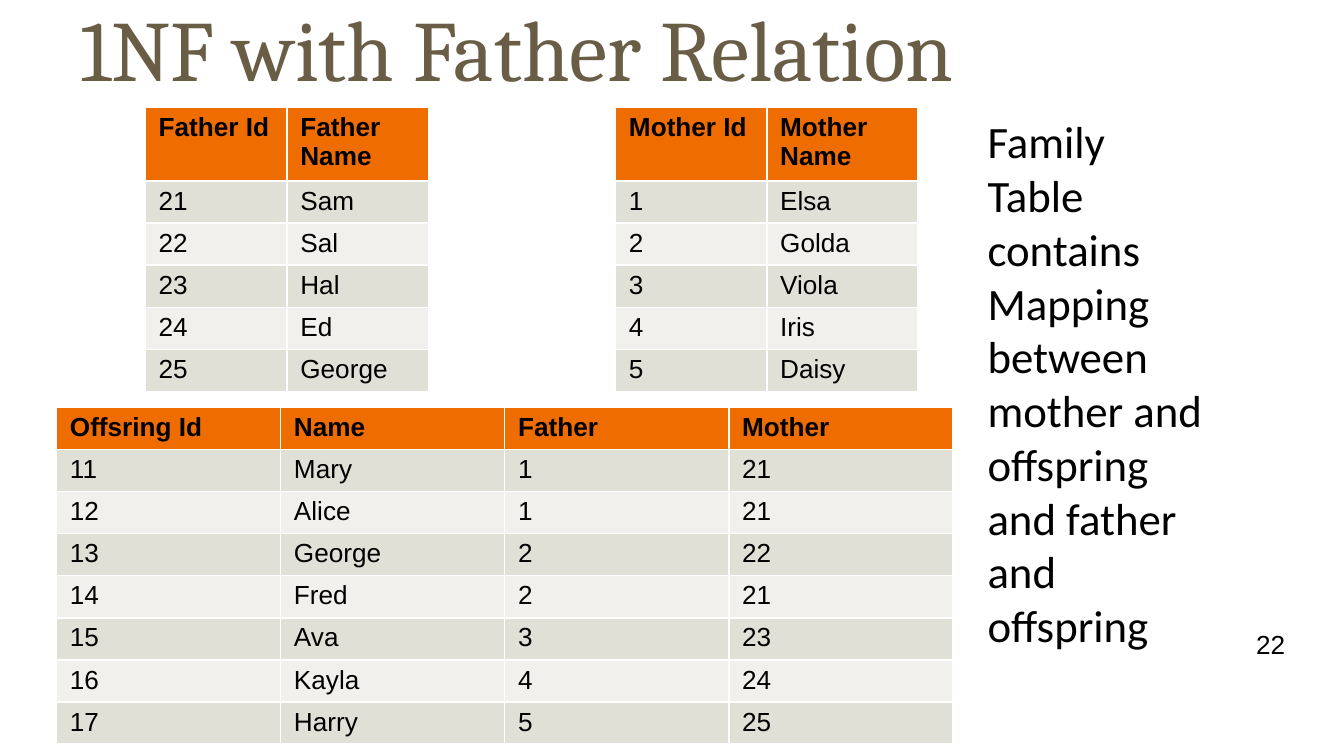
import dataclasses
import typing

import pptx
import pptx.dml.color
import pptx.enum.shapes
import pptx.enum.text
import pptx.util

Inches = pptx.util.Inches


@dataclasses.dataclass(frozen=True)
class Font:
    name: str
    size: int
    color: str
    bold: bool = False


@dataclasses.dataclass(frozen=True)
class Theme:
    head: str = "EF6C00"
    bands: tuple[str, str] = ("E1E0D6", "F1F0EC")
    rule: str = "FFFFFF"
    title: Font = Font("Cambria", 46, "695D46")
    note: Font = Font("Calibri", 24, "000000")
    cell: Font = Font("Arial", 14, "000000")
    label: Font = Font("Arial", 14, "000000", True)


class Box(typing.NamedTuple):
    left: float
    top: float
    width: float
    height: float


class Grid(typing.NamedTuple):
    left: float
    top: float
    width: float
    rows: list[tuple[str, ...]]


THEME = Theme()
ROW = 0.3

MOTHERS = Grid(4.58, 0.8, 2.25, [
    ("Mother Id", "Mother Name"),
    ("1", "Elsa"),
    ("2", "Golda"),
    ("3", "Viola"),
    ("4", "Iris"),
    ("5", "Daisy"),
])
FATHERS = Grid(1.08, 0.8, 2.11, [
    ("Father Id", "Father Name"),
    ("21", "Sam"),
    ("22", "Sal"),
    ("23", "Hal"),
    ("24", "Ed"),
    ("25", "George"),
])
OFFSPRING = Grid(0.42, 3.03, 6.67, [
    ("Offsring Id", "Name", "Father", "Mother"),
    ("11", "Mary", "1", "21"),
    ("12", "Alice", "1", "21"),
    ("13", "George", "2", "22"),
    ("14", "Fred", "2", "21"),
    ("15", "Ava", "3", "23"),
    ("16", "Kayla", "4", "24"),
    ("17", "Harry", "5", "25"),
])


def paint(fill, color: str) -> None:
    fill.solid()
    fill.fore_color.rgb = pptx.dml.color.RGBColor.from_string(color)


def write(para, text: str, font: Font) -> None:
    run = para.add_run()
    run.text = text
    run.font.name = font.name
    run.font.size = pptx.util.Pt(font.size)
    run.font.bold = font.bold
    paint(run.font.fill, font.color)


def draw_cell(cell, text: str, row: int) -> None:
    cell.margin_left = cell.margin_right = Inches(0.1)
    cell.margin_top = cell.margin_bottom = Inches(0.04)
    paint(cell.fill, THEME.bands[(row - 1) % 2] if row else THEME.head)
    write(cell.text_frame.paragraphs[0], text, THEME.cell if row else THEME.label)


def draw_grid(slide, grid: Grid) -> None:
    count = len(grid.rows)
    width = len(grid.rows[0])
    table = slide.shapes.add_table(
        count, width, Inches(grid.left), Inches(grid.top),
        Inches(grid.width), Inches(ROW * count),
    ).table
    for row, texts in enumerate(grid.rows):
        for col, text in enumerate(texts):
            draw_cell(table.cell(row, col), text, row)


def draw_text(slide, box: Box, texts: list[str], font: Font,
              middle: bool = False) -> None:
    frame = slide.shapes.add_textbox(*map(Inches, box)).text_frame
    frame.word_wrap = True
    if middle:
        frame.vertical_anchor = pptx.enum.text.MSO_ANCHOR.MIDDLE
    for place, text in enumerate(texts):
        para = frame.add_paragraph() if place else frame.paragraphs[0]
        write(para, text, font)


def draw_page(slide, box: Box, text: str) -> None:
    shape = slide.shapes.add_shape(
        pptx.enum.shapes.MSO_SHAPE.DOUBLE_BRACKET, *map(Inches, box))
    shape.shadow.inherit = False
    shape.fill.background()
    paint(shape.line.fill, THEME.rule)
    shape.line.width = pptx.util.Pt(1.5)
    frame = shape.text_frame
    frame.margin_left = frame.margin_right = Inches(0)
    frame.margin_top = frame.margin_bottom = Inches(0)
    frame.vertical_anchor = pptx.enum.text.MSO_ANCHOR.MIDDLE
    para = frame.paragraphs[0]
    para.alignment = pptx.enum.text.PP_ALIGN.LEFT
    write(para, text, THEME.cell)


def main() -> None:
    deck = pptx.Presentation()
    deck.slide_width = Inches(10)
    deck.slide_height = Inches(10 * 9 / 16)
    slide = deck.slides.add_slide(deck.slide_layouts[6])
    draw_text(slide, Box(0.5, -0.12, 9, 0.94), ["1NF with Father Relation"],
              THEME.title, middle=True)
    draw_grid(slide, MOTHERS)
    draw_grid(slide, FATHERS)
    draw_text(slide, Box(7.25, 0.8, 1.83, 4.27), [
        "Family Table contains",
        "Mapping between mother and offspring and father and offspring",
    ], THEME.note)
    draw_page(slide, Box(9.33, 4.63, 0.6, 0.33), "22")
    draw_grid(slide, OFFSPRING)
    deck.save("out.pptx")


if __name__ == "__main__":
    main()
